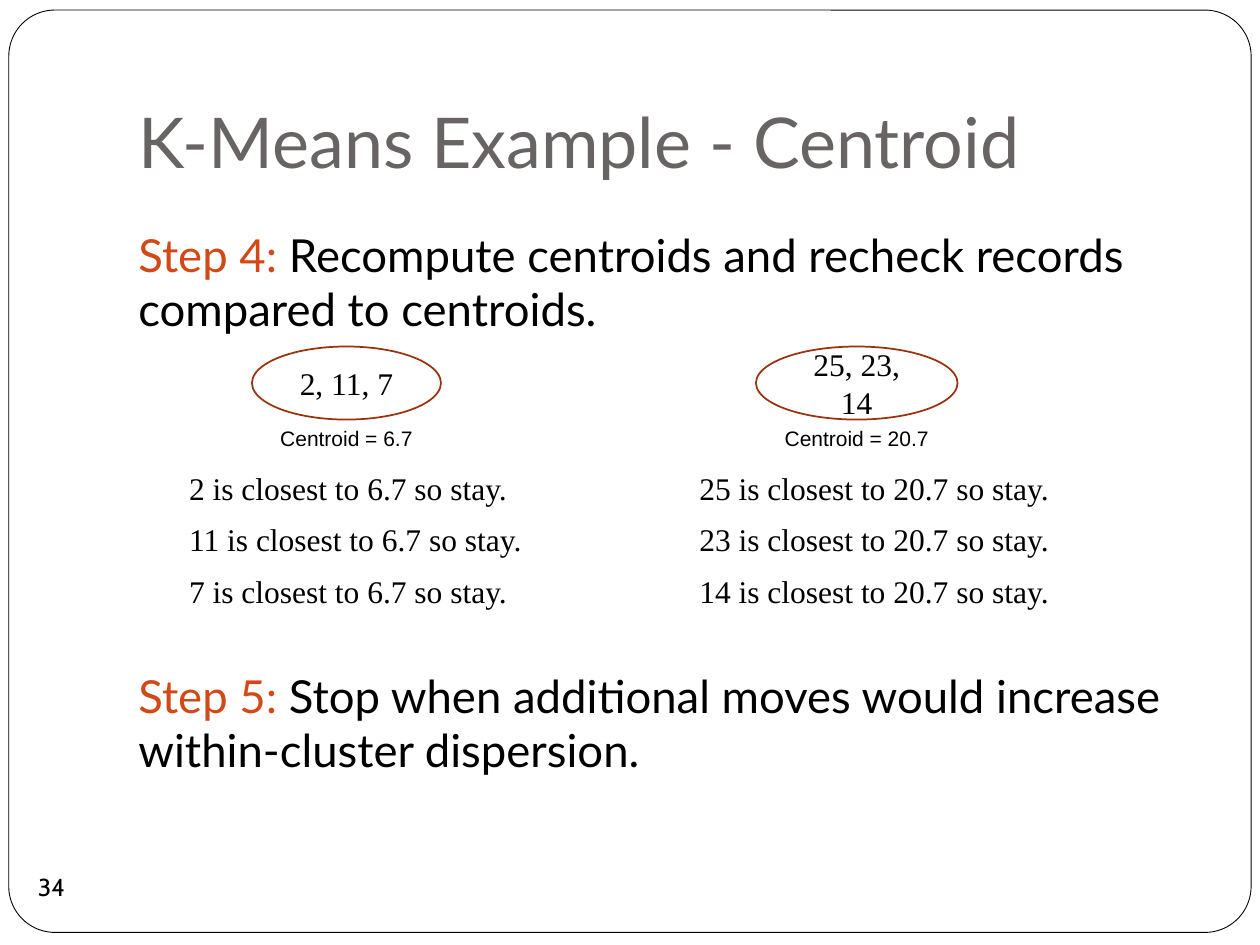
from dataclasses import dataclass

from pptx import Presentation
from pptx.dml.color import RGBColor
from pptx.enum import shapes, text
from pptx.util import Inches, Pt


@dataclass(frozen=True)
class Theme:
    title: str = "696464"
    accent: str = "D34817"
    outline: str = "9B320E"
    ink: str = "000000"
    paper: str = "FFFFFF"
    heading_font: str = "Lato"
    body_font: str = "Times New Roman"
    label_font: str = "Arial"
    number_font: str = "Cabin"
    title_size: int = 40
    step_size: int = 26
    body_size: int = 18
    number_size: int = 14
    label_size: int = 12


THEME = Theme()
SHAPE = shapes.MSO_SHAPE
CENTER = text.PP_ALIGN.CENTER
MIDDLE = text.MSO_ANCHOR.MIDDLE

# Left, width, members, centroid label left and width, centroid
CLUSTERS = [
    (2, 1.5, (2, 11, 7), 2.1, 1.3, 6.7),
    (6, 1.6, (25, 23, 14), 6.1, 1.4, 20.7),
]


def set_font(font, name, size, color=THEME.ink):
    font.name = name
    font.size = Pt(size)
    font.color.rgb = RGBColor.from_string(color)


def add_shape(slide, kind, box, line=None, width=1, fill=None):
    sp = slide.shapes.add_shape(kind, *map(Inches, box))
    sp.shadow.inherit = False
    if fill:
        sp.fill.solid()
        sp.fill.fore_color.rgb = RGBColor.from_string(fill)
    else:
        sp.fill.background()
    if line:
        sp.line.color.rgb = RGBColor.from_string(line)
        sp.line.width = Pt(width)
    else:
        sp.line.fill.background()
    return sp


def add_ellipse(slide, box, words, font, size, line=None):
    sp = add_shape(slide, SHAPE.OVAL, box, line)
    tf = sp.text_frame
    tf.vertical_anchor = MIDDLE
    p = tf.paragraphs[0]
    p.text = words
    p.alignment = CENTER
    set_font(p.font, font, size)
    return tf


def add_text(slide, box, words, font, size, color=THEME.ink, align=None):
    tf = slide.shapes.add_textbox(*map(Inches, box)).text_frame
    tf.word_wrap = True
    p = tf.paragraphs[0]
    p.text = words
    p.alignment = align
    set_font(p.font, font, size, color)
    return tf


def add_step(slide, top, label, words):
    tf = add_text(slide, (1, top, 8.5, 1), label, THEME.heading_font,
                  THEME.step_size)
    p = tf.paragraphs[0]
    p.runs[0].font.color.rgb = RGBColor.from_string(THEME.accent)
    p.add_run().text = " " + words


def add_cluster(slide, left, width, members, label_left, label_width, centroid):
    add_ellipse(slide, (left, 2.75, width, 0.58), ", ".join(map(str, members)),
                THEME.body_font, THEME.body_size, THEME.outline)
    add_text(slide, (label_left, 3.33, label_width, 0.3),
             f"Centroid = {centroid}", THEME.label_font, THEME.label_size,
             align=CENTER)


def add_checks(slide):
    columns = [[f"{m} is closest to {centroid} so stay." for m in members]
               for _, _, members, _, _, centroid in CLUSTERS]
    rows = list(zip(*columns))
    table = slide.shapes.add_table(len(rows), len(columns), Inches(1.4),
                                   Inches(3.7), Inches(8.1), Inches(1.22)).table
    table.first_row = table.horz_banding = False
    for r, row in enumerate(rows):
        for c, words in enumerate(row):
            cell = table.cell(r, c)
            cell.fill.background()
            p = cell.text_frame.paragraphs[0]
            p.text = words
            set_font(p.font, THEME.body_font, THEME.body_size)


def main():
    prs = Presentation()
    prs.slide_width, prs.slide_height = Inches(10), Inches(7.5)
    slide = prs.slides.add_slide(prs.slide_layouts[6])

    # Frame and title
    frame = add_shape(slide, SHAPE.ROUNDED_RECTANGLE, (0.07, 0.08, 9.86, 7.32),
                      THEME.ink, 0.5, THEME.paper)
    frame.adjustments[0] = 0.05
    title = add_text(slide, (1, 0.3, 8.5, 1.25), "K-Means Example - Centroid",
                     THEME.heading_font, THEME.title_size, THEME.title)
    title.vertical_anchor = text.MSO_ANCHOR.BOTTOM
    title.margin_bottom = Inches(0.1)

    # Steps
    add_step(slide, 1.75, "Step 4:",
             "Recompute centroids and recheck records compared to centroids.")
    add_step(slide, 5.25, "Step 5:",
             "Stop when additional moves would increase "
             "within-cluster dispersion.")

    # Clusters and the check of each record
    for cluster in CLUSTERS:
        add_cluster(slide, *cluster)
    add_checks(slide)

    # Slide number
    tf = add_ellipse(slide, (0.16, 6.79, 0.5, 0.5), "34", THEME.number_font,
                     THEME.number_size)
    tf.word_wrap = False
    tf.margin_left = tf.margin_right = tf.margin_top = tf.margin_bottom = 0

    prs.save("out.pptx")


if __name__ == "__main__":
    main()
